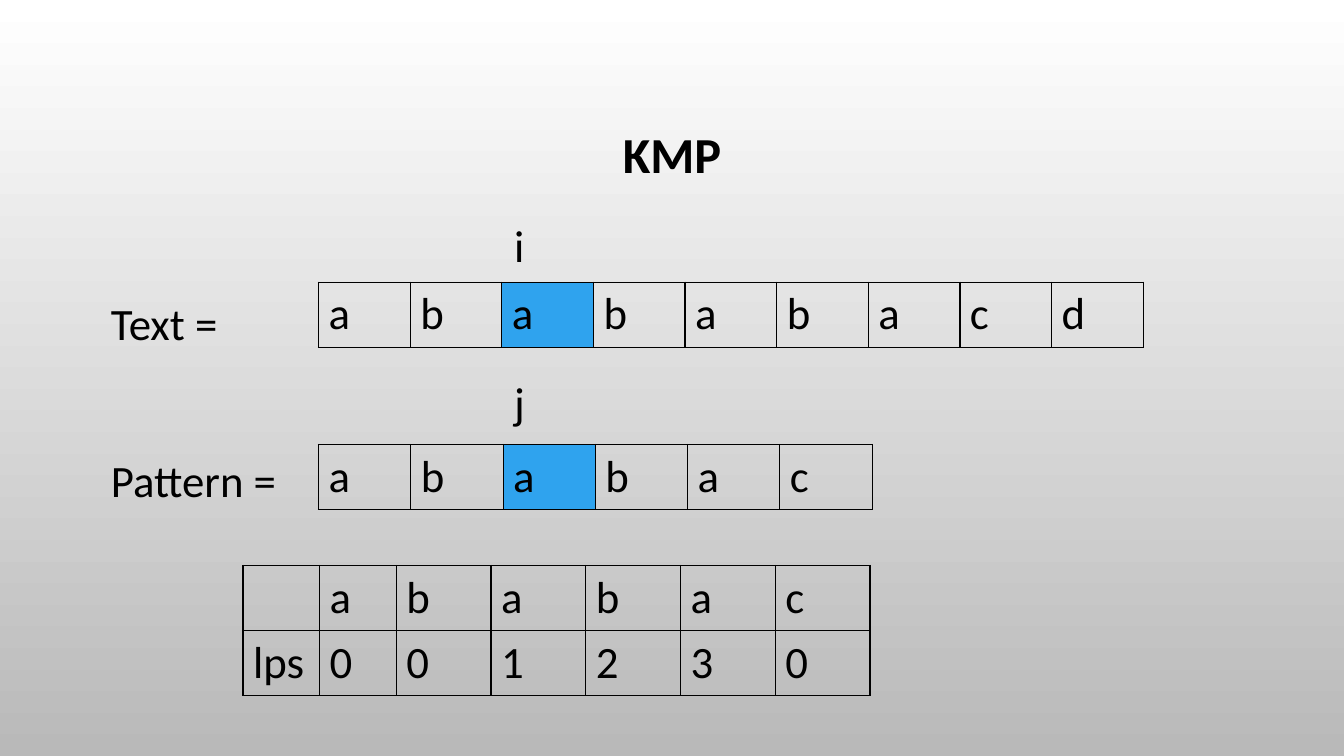
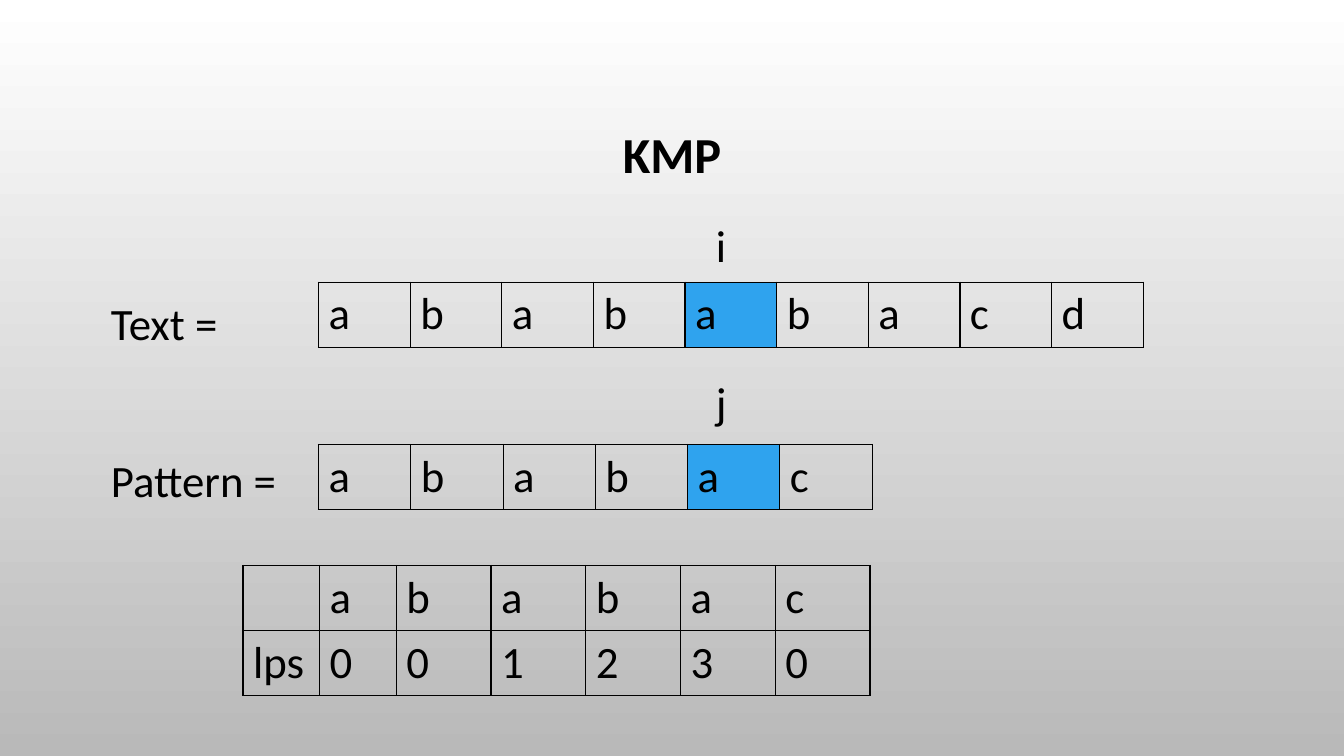
from pptx import Presentation
from pptx.dml.color import RGBColor
from pptx.enum.text import MSO_ANCHOR, MSO_AUTO_SIZE, PP_ALIGN
from pptx.oxml.ns import qn
from pptx.util import Inches, Pt
from lxml import etree

TOP, MIDDLE = MSO_ANCHOR.TOP, MSO_ANCHOR.MIDDLE
FIXED = MSO_AUTO_SIZE.NONE
LEFT, CENTER = PP_ALIGN.LEFT, PP_ALIGN.CENTER

FONT = "Calibri"
BLACK, WHITE, GRAY, BLUE = "000000", "FFFFFF", "B9B9B9", "2FA3EE"
TITLE = "KMP"
TEXT = "abababacd"
PATTERN = "ababac"
LPS = [["", *PATTERN], ["lps", *"001230"]]
LINES = ["i", "Text =", "j", "Pattern ="]
MARKERS = ("i", "j")
STEPS = [2, 4]
ROW = 0.64


def color(code):
    return RGBColor.from_string(code)


def add_run(para, text, size=32, bold=False):
    run = para.add_run()
    run.text = text
    font = run.font
    font.name, font.size, font.bold = FONT, Pt(size), bold
    font.color.rgb = color(BLACK)


def set_box(shape, left, top, width, height, anchor):
    shape.left, shape.top = Inches(left), Inches(top)
    shape.width, shape.height = Inches(width), Inches(height)
    frame = shape.text_frame
    frame.word_wrap = True
    frame.auto_size = FIXED
    frame.vertical_anchor = anchor
    return frame


def add_title(slide):
    frame = set_box(slide.shapes.title, 1, 0.68, 11.33, 1.75, MIDDLE)
    para = frame.paragraphs[0]
    para.alignment = CENTER
    para.line_spacing = 0.9
    add_run(para, TITLE, 36, True)


def add_body(slide, step):
    frame = set_box(slide.placeholders[1], 1, 2, 11.64, 5.25, TOP)
    for num, text in enumerate(LINES):
        para = frame.add_paragraph() if num else frame.paragraphs[0]
        para.alignment = LEFT
        para.line_spacing = 1.2
        para.space_before = Pt(10 if num else 0)
        props = para._p.get_or_add_pPr()
        indent = Inches(step + 2) if text in MARKERS else 0
        props.set("marL", str(indent))
        props.set("indent", "0")
        etree.SubElement(props, qn("a:buNone"))
        add_run(para, text)


def add_border(cell):
    props = cell._tc.get_or_add_tcPr()
    for side in "LRTB":
        line = etree.SubElement(props, qn("a:ln" + side), w=str(Pt(1)))
        fill = etree.SubElement(line, qn("a:solidFill"))
        etree.SubElement(fill, qn("a:srgbClr"), val=BLACK)


def add_grid(slide, left, top, widths, rows, mark=None):
    frame = slide.shapes.add_table(
        len(rows), len(widths), Inches(left), Inches(top),
        Inches(sum(widths)), Inches(ROW * len(rows)))
    table = frame.table
    table.first_row = table.horz_banding = False
    for col, width in zip(table.columns, widths):
        col.width = Inches(width)
    for y, row in enumerate(rows):
        for x, text in enumerate(row):
            cell = table.cell(y, x)
            add_border(cell)
            if x == mark:
                cell.fill.solid()
                cell.fill.fore_color.rgb = color(BLUE)
            else:
                cell.fill.background()
            if text:
                add_run(cell.text_frame.paragraphs[0], text)


def set_back(master):
    fill = master.background.fill
    fill.gradient()
    fill.gradient_angle = 270
    for stop, code, pos in zip(fill.gradient_stops, (WHITE, GRAY), (0, 1)):
        stop.color.rgb = color(code)
        stop.position = pos


def main():
    prs = Presentation()
    prs.slide_width, prs.slide_height = Inches(13.33), Inches(7.5)
    set_back(prs.slide_master)
    for step in STEPS:
        slide = prs.slides.add_slide(prs.slide_layouts[1])
        add_title(slide)
        add_body(slide, step)
        for word, top, width in ((TEXT, 2.8, 8.18), (PATTERN, 4.41, 5.49)):
            size = len(word)
            add_grid(slide, 3.16, top, [width / size] * size, [word], step)
        add_grid(slide, 2.41, 5.61, [0.76] * 2 + [0.94] * 5, LPS)
    prs.save("out.pptx")


if __name__ == "__main__":
    main()
